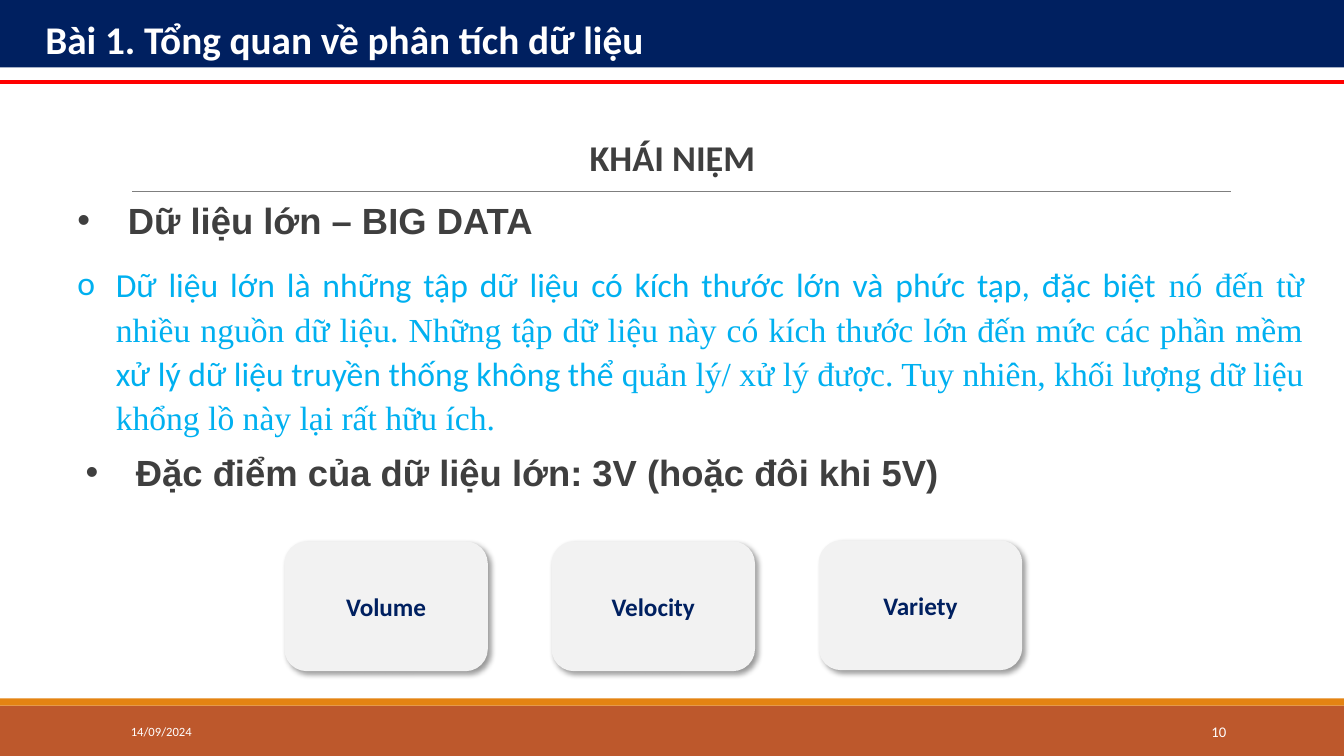
from dataclasses import dataclass
from typing import Optional

from lxml import etree
from pptx import Presentation
from pptx.dml.color import RGBColor
from pptx.enum import shapes, text
from pptx.oxml import ns
from pptx.util import Inches, Pt

WHITE = RGBColor(0xFF, 0xFF, 0xFF)
NAVY = RGBColor(0x00, 0x20, 0x60)
RED = RGBColor(0xFF, 0x00, 0x00)
RUST = RGBColor(0xBD, 0x58, 0x2C)
ORANGE = RGBColor(0xE4, 0x83, 0x12)
RULE_GRAY = RGBColor(0x7F, 0x7F, 0x7F)
DARK_GRAY = RGBColor(0x3F, 0x3F, 0x3F)
SKY = RGBColor(0x00, 0xB0, 0xF0)
CARD_GRAY = RGBColor(0xF2, 0xF2, 0xF2)

SLIDE_WIDTH = 13.33
LEFT, CENTER = text.PP_ALIGN.LEFT, text.PP_ALIGN.CENTER
RIGHT, JUSTIFY = text.PP_ALIGN.RIGHT, text.PP_ALIGN.JUSTIFY
BOTTOM, MIDDLE = text.MSO_ANCHOR.BOTTOM, text.MSO_ANCHOR.MIDDLE


@dataclass
class Style:
    size: float
    color: RGBColor
    font: Optional[str] = "Calibri"
    bold: bool = False
    align: text.PP_ALIGN = LEFT
    anchor: text.MSO_ANCHOR = BOTTOM
    spacing: float = 1.0
    bullet: str = ""
    indent: float = 0


@dataclass
class Run:
    content: str
    font: Optional[str] = None


@dataclass
class Label:
    left: float
    top: float
    width: float
    height: float
    style: Style
    runs: list[Run]


@dataclass
class Bar:
    top: float
    height: float
    color: RGBColor


@dataclass
class Rule:
    left: float
    right: float
    top: float
    color: RGBColor
    weight: float


@dataclass
class Card:
    title: str
    top: float


TITLE = Style(28, WHITE, bold=True, spacing=0.85)
HEADING = Style(25.9, DARK_GRAY, bold=True, align=CENTER, spacing=0.75)
POINT = Style(26, DARK_GRAY, "Arial", bold=True, spacing=0.85, bullet="•", indent=0.5)
BODY = Style(24, SKY, None, align=JUSTIFY, spacing=1.1, bullet="o", indent=0.38)
DATE = Style(9, WHITE, anchor=MIDDLE)
NUMBER = Style(10.5, WHITE, align=RIGHT, anchor=MIDDLE)
CARD = Style(18, NAVY, bold=True, align=CENTER, anchor=MIDDLE)

BARS = [Bar(7, 0.5, RUST), Bar(6.93, 0.07, ORANGE)]
TITLE_BAR = Bar(0, 0.67, NAVY)
RULES = [Rule(1.31, 12.21, 1.9, RULE_GRAY, 0.75), Rule(0, SLIDE_WIDTH, 0.81, RED, 3)]
LABELS = [
    Label(3.73, 1.39, 5.88, 0.43, HEADING, [Run("KHÁI NIỆM")]),
    Label(0.67, 1.99, 9.46, 0.46, POINT, [Run("Dữ liệu lớn – BIG DATA")]),
    Label(1.2, 7.06, 2.7, 0.4, DATE, [Run("14/09/2024")]),
    Label(10.83, 7.06, 1.43, 0.4, NUMBER, [Run("10")]),
    Label(0.67, 2.46, 12.36, 1.93, BODY, [
        Run("Dữ liệu lớn là những tập dữ liệu có kích thước lớn và phức tạp, "
            "đặc biệt ", "Calibri"),
        Run("nó đến từ nhiều nguồn dữ liệu. Những tập dữ liệu này có kích thước "
            "lớn đến mức các phần mềm ", "Times New Roman"),
        Run("xử lý dữ liệu truyền thống không thể ", "Calibri"),
        Run("quản lý/ xử lý được. Tuy nhiên, khối lượng dữ liệu khổng lồ này "
            "lại rất hữu ích.", "Times New Roman"),
    ]),
    Label(0.75, 4.49, 9.46, 0.46, POINT,
          [Run("Đặc điểm của dữ liệu lớn: 3V (hoặc đôi khi 5V)")]),
]
CARDS = [Card("Volume", 5.38), Card("Velocity", 5.38), Card("Variety", 5.37)]
CARD_LEFT, CARD_PITCH = 2.83, 2.65


def add_bullet(paragraph, style: Style) -> None:
    properties = paragraph._p.get_or_add_pPr()
    properties.set("marL", str(Inches(style.indent)))
    properties.set("indent", str(-Inches(style.indent)))
    color = etree.SubElement(properties, ns.qn("a:buClr"))
    etree.SubElement(color, ns.qn("a:srgbClr"), val=str(style.color))
    etree.SubElement(properties, ns.qn("a:buFont"), typeface=style.font or "Calibri")
    etree.SubElement(properties, ns.qn("a:buChar"), char=style.bullet)


def write_text(shape, style: Style, runs: list[Run]) -> None:
    frame = shape.text_frame
    frame.word_wrap = True
    frame.vertical_anchor = style.anchor
    paragraph = frame.paragraphs[0]
    if style.bullet:
        add_bullet(paragraph, style)
    paragraph.alignment = style.align
    paragraph.line_spacing = style.spacing
    paragraph.font.size = Pt(style.size)
    paragraph.font.bold = style.bold
    paragraph.font.color.rgb = style.color
    if style.font:
        paragraph.font.name = style.font
    for item in runs:
        run = paragraph.add_run()
        run.text = item.content
        if item.font:
            run.font.name = item.font


def add_bar(slide, bar: Bar):
    shape = slide.shapes.add_shape(
        shapes.MSO_SHAPE.RECTANGLE, 0, Inches(bar.top),
        Inches(SLIDE_WIDTH), Inches(bar.height))
    shape.shadow.inherit = False
    shape.fill.solid()
    shape.fill.fore_color.rgb = bar.color
    shape.line.fill.background()
    return shape


def add_rule(slide, rule: Rule) -> None:
    connector = slide.shapes.add_connector(
        shapes.MSO_CONNECTOR.STRAIGHT, Inches(rule.left), Inches(rule.top),
        Inches(rule.right), Inches(rule.top))
    connector.line.color.rgb = rule.color
    connector.line.width = Pt(rule.weight)
    etree.SubElement(connector._element.spPr, ns.qn("a:effectLst"))


def add_label(slide, label: Label) -> None:
    box = slide.shapes.add_textbox(
        Inches(label.left), Inches(label.top), Inches(label.width), Inches(label.height))
    write_text(box, label.style, label.runs)


def add_card(slide, card: Card, left: float) -> None:
    shape = slide.shapes.add_shape(
        shapes.MSO_SHAPE.ROUNDED_RECTANGLE, Inches(left), Inches(card.top),
        Inches(2), Inches(1.27))
    shape.adjustments[0] = 0.167
    shape.fill.solid()
    shape.fill.fore_color.rgb = CARD_GRAY
    shape.line.color.rgb = CARD_GRAY
    shape.line.width = Pt(1.25)
    shape.shadow.inherit = False
    effects = shape._element.spPr.find(ns.qn("a:effectLst"))
    shadow = etree.SubElement(
        effects, ns.qn("a:outerShdw"), blurRad=str(Pt(4)), dist=str(Pt(3)),
        dir=str(45 * 60000), algn="tl", rotWithShape="0")
    color = etree.SubElement(shadow, ns.qn("a:srgbClr"), val="000000")
    etree.SubElement(color, ns.qn("a:alpha"), val="40000")
    write_text(shape, CARD, [Run(card.title)])


def main() -> None:
    presentation = Presentation()
    presentation.slide_width = Inches(SLIDE_WIDTH)
    presentation.slide_height = Inches(7.5)
    slide = presentation.slides.add_slide(presentation.slide_layouts[6])
    for bar in BARS:
        add_bar(slide, bar)
    title = add_bar(slide, TITLE_BAR)
    title.text_frame.margin_left = Inches(0.45)
    write_text(title, TITLE, [Run("Bài 1. Tổng quan về phân tích dữ liệu")])
    for rule in RULES:
        add_rule(slide, rule)
    for label in LABELS:
        add_label(slide, label)
    for index, card in enumerate(CARDS):
        add_card(slide, card, CARD_LEFT + index * CARD_PITCH)
    presentation.save("out.pptx")


if __name__ == "__main__":
    main()
